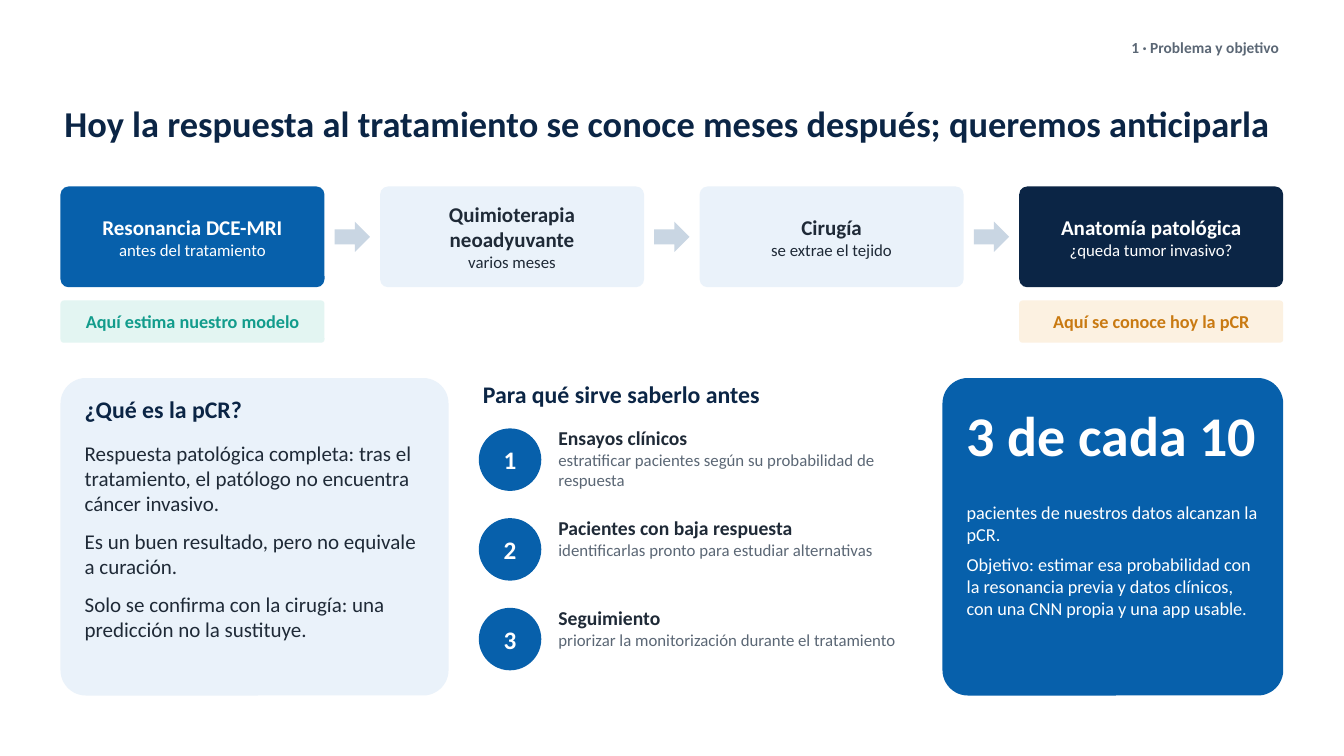
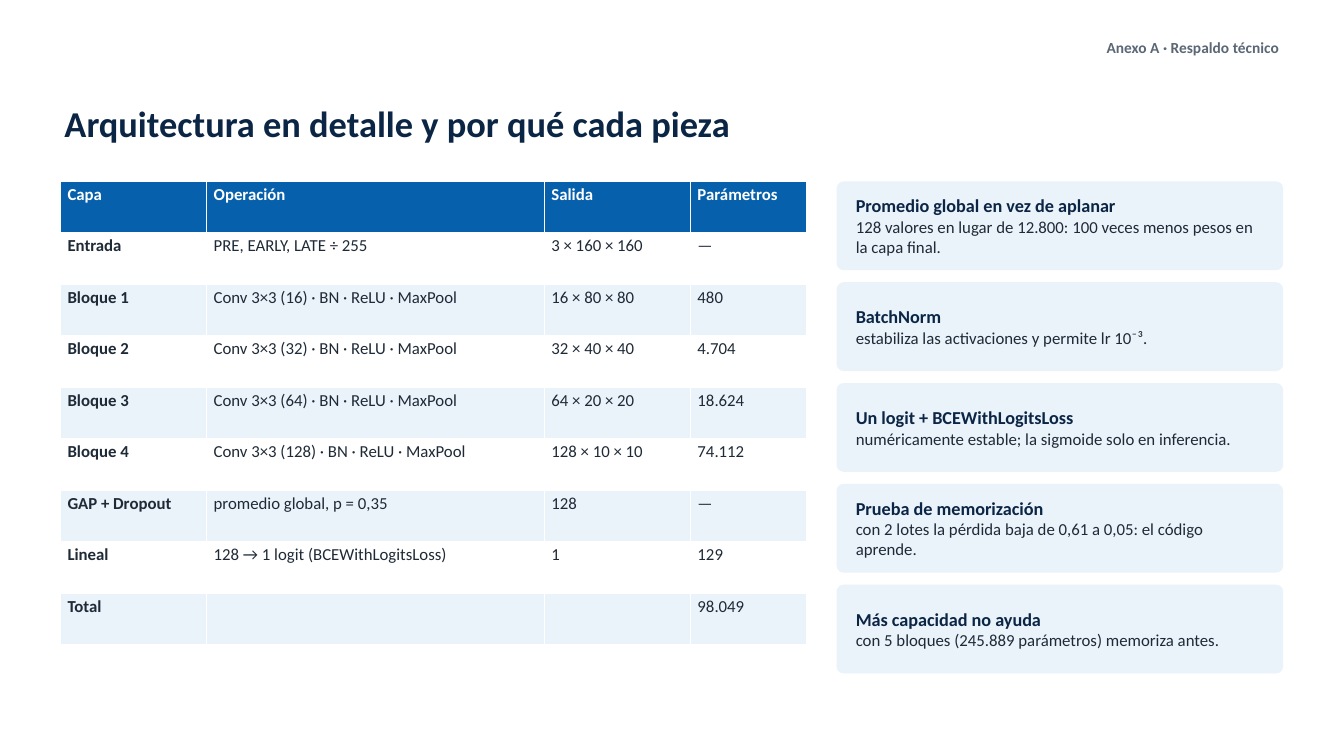
from pptx import Presentation
from pptx.dml import color
from pptx.enum import shapes, text
from pptx.util import Pt

INK = {
    "white": "FFFFFF", "navy": "0B2545", "blue": "0760AB", "pale": "EAF2FA",
    "dark": "1F2A37", "gray": "5B6775", "arrow": "C9D6E3", "teal": "129C8C",
    "mint": "E3F5F2", "amber": "C97A12", "cream": "FCF1E1",
}
FONT = "Calibri"
LEFT, WIDE = 43.2, 873.4
RIGHT = LEFT + WIDE
KIND = shapes.MSO_SHAPE
ALIGN = text.PP_ALIGN
MID = text.MSO_ANCHOR.MIDDLE
TOP = text.MSO_ANCHOR.TOP

STEPS = [
    ("Resonancia DCE-MRI", "antes del tratamiento", "blue", "white"),
    ("Quimioterapia neoadyuvante", "varios meses", "pale", "dark"),
    ("Cirugía", "se extrae el tejido", "pale", "dark"),
    ("Anatomía patológica", "¿queda tumor invasivo?", "navy", "white"),
]
MEANING = [
    "Respuesta patológica completa: tras el tratamiento, el patólogo no encuentra cáncer invasivo.",
    "Es un buen resultado, pero no equivale a curación.",
    "Solo se confirma con la cirugía: una predicción no la sustituye.",
]
USES = [
    ("Ensayos clínicos", "estratificar pacientes según su probabilidad de respuesta"),
    ("Pacientes con baja respuesta", "identificarlas pronto para estudiar alternativas"),
    ("Seguimiento", "priorizar la monitorización durante el tratamiento"),
]
GOAL = [
    "pacientes de nuestros datos alcanzan la pCR.",
    "Objetivo: estimar esa probabilidad con la resonancia previa y datos clínicos, "
    "con una CNN propia y una app usable.",
]
LAYERS = [
    ("Capa", "Operación", "Salida", "Parámetros"),
    ("Entrada", "PRE, EARLY, LATE ÷ 255", "3 × 160 × 160", "—"),
    ("Bloque 1", "Conv 3×3 (16) · BN · ReLU · MaxPool", "16 × 80 × 80", "480"),
    ("Bloque 2", "Conv 3×3 (32) · BN · ReLU · MaxPool", "32 × 40 × 40", "4.704"),
    ("Bloque 3", "Conv 3×3 (64) · BN · ReLU · MaxPool", "64 × 20 × 20", "18.624"),
    ("Bloque 4", "Conv 3×3 (128) · BN · ReLU · MaxPool", "128 × 10 × 10", "74.112"),
    ("GAP + Dropout", "promedio global, p = 0,35", "128", "—"),
    ("Lineal", "128 → 1 logit (BCEWithLogitsLoss)", "1", "129"),
    ("Total", "", "", "98.049"),
]
REASONS = [
    ("Promedio global en vez de aplanar",
     "128 valores en lugar de 12.800: 100 veces menos pesos en la capa final."),
    ("BatchNorm", "estabiliza las activaciones y permite lr 10⁻³."),
    ("Un logit + BCEWithLogitsLoss", "numéricamente estable; la sigmoide solo en inferencia."),
    ("Prueba de memorización", "con 2 lotes la pérdida baja de 0,61 a 0,05: el código aprende."),
    ("Más capacidad no ayuda", "con 5 bloques (245.889 parámetros) memoriza antes."),
]


def rgb(name):
    return color.RGBColor.from_string(INK[name])


def paint(item, name):
    item.fill.solid()
    item.fill.fore_color.rgb = rgb(name)


def inset(item, side, edge):
    item.margin_left = item.margin_right = Pt(side)
    item.margin_top = item.margin_bottom = Pt(edge)


def write(frame, lines, align=ALIGN.LEFT, after=0):
    for i, (words, size, ink, bold) in enumerate(lines):
        para = frame.add_paragraph() if i else frame.paragraphs[0]
        para.text = words
        para.alignment = align
        para.space_after = Pt(after)
        font = para.font
        font.name, font.size, font.bold = FONT, Pt(size), bold
        font.color.rgb = rgb(ink)


def label(slide, x, y, w, h, lines, anchor=TOP, align=ALIGN.LEFT, after=0):
    frame = slide.shapes.add_textbox(Pt(x), Pt(y), Pt(w), Pt(h)).text_frame
    frame.word_wrap = True
    frame.auto_size = text.MSO_AUTO_SIZE.SHAPE_TO_FIT_TEXT
    frame.vertical_anchor = anchor
    inset(frame, 2.88, 1.44)
    write(frame, lines, align, after)


def block(slide, kind, x, y, w, h, fill, lines=()):
    item = slide.shapes.add_shape(kind, Pt(x), Pt(y), Pt(w), Pt(h))
    item.shadow.inherit = False
    item.line.fill.background()
    paint(item, fill)
    if kind == KIND.ROUNDED_RECTANGLE:
        item.adjustments[0] = 0.08
    item.text_frame.vertical_anchor = MID
    write(item.text_frame, lines, ALIGN.CENTER)


def card(slide, x, y, w, h, fill, lines=()):
    block(slide, KIND.ROUNDED_RECTANGLE, x, y, w, h, fill, lines)


def start(deck, part, title):
    slide = deck.slides.add_slide(deck.slide_layouts[6])
    label(slide, RIGHT - 391, 25.9, 391, 23, [(part, 11, "gray", True)], align=ALIGN.RIGHT)
    label(slide, LEFT, 61.9, WIDE, 51.8, [(title, 26, "navy", True)], MID)
    return slide


def flow(slide):
    w, h, y = 188.6, 72, 133.2
    pitch = (WIDE - w) / (len(STEPS) - 1)
    for i, (head, note, fill, ink) in enumerate(STEPS):
        x = LEFT + i * pitch
        if i:
            block(slide, KIND.RIGHT_ARROW, x - 32.4, y + 25.2, 25.2, 21.6, "arrow")
        card(slide, x, y, w, h, fill, [(head, 15, ink, True), (note, 12, ink, False)])
    for x, words, fill, ink in [
        (LEFT, "Aquí estima nuestro modelo", "mint", "teal"),
        (RIGHT - w, "Aquí se conoce hoy la pCR", "cream", "amber"),
    ]:
        card(slide, x, 214.6, w, 30.2, fill, [(words, 13, ink, True)])


def uses(slide):
    x = 342
    label(slide, x, 270, 309.6, 28.8, [("Para qué sirve saberlo antes", 17, "navy", True)])
    for i, (head, note) in enumerate(USES):
        y = 306 + i * 64.08
        block(slide, KIND.OVAL, x, y, 44.64, 44.64, "blue", [(str(i + 1), 18, "white", True)])
        label(slide, x + 54, y - 2.88, 259.2, 54,
              [(head, 14, "dark", True), (note, 12, "gray", False)])


def problem(deck):
    slide = start(deck, "1 · Problema y objetivo",
                  "Hoy la respuesta al tratamiento se conoce meses después; queremos anticiparla")
    flow(slide)
    card(slide, LEFT, 270, 277.2, 226.8, "pale")
    label(slide, 57.6, 280.8, 252, 28.8, [("¿Qué es la pCR?", 17, "navy", True)])
    label(slide, 57.6, 313.2, 252, 180, [(t, 15, "dark", False) for t in MEANING], after=9)
    uses(slide)
    card(slide, RIGHT - 243.4, 270, 243.4, 226.8, "blue")
    label(slide, 687.6, 284.4, 216, 72, [("3 de cada 10", 40, "white", True)])
    label(slide, 687.6, 356.4, 216, 136.8, [(t, 13, "white", False) for t in GOAL], after=6)


def grid(slide, x, y, wides, high):
    table = slide.shapes.add_table(len(LAYERS), len(wides), Pt(x), Pt(y),
                                   Pt(sum(wides)), Pt(high * len(LAYERS))).table
    for col, w in zip(table.columns, wides):
        col.width = Pt(w)
    for r, row in enumerate(LAYERS):
        table.rows[r].height = Pt(high)
        for c, words in enumerate(row):
            cell = table.cell(r, c)
            paint(cell, "blue" if r == 0 else "white" if r % 2 else "pale")
            if words:
                inset(cell, 5.04, 2.16)
                ink = "dark" if r else "white"
                write(cell.text_frame, [(words, 12, ink, r == 0 or c == 0)])


def detail(deck):
    slide = start(deck, "Anexo A · Respaldo técnico",
                  "Arquitectura en detalle y por qué cada pieza")
    grid(slide, LEFT, 129.6, [104.4, 241.2, 104.4, 82.8], 36.8)
    for i, (head, note) in enumerate(REASONS):
        y = 129.6 + i * 72
        card(slide, 597.6, y, 319, 63.4, "pale")
        label(slide, 608.4, y + 2.9, 298.8, 57.6,
              [(head, 13, "navy", True), (note, 12, "dark", False)], MID)


def main():
    deck = Presentation()
    deck.slide_width, deck.slide_height = Pt(960), Pt(540)
    problem(deck)
    detail(deck)
    deck.save("out.pptx")


if __name__ == "__main__":
    main()
